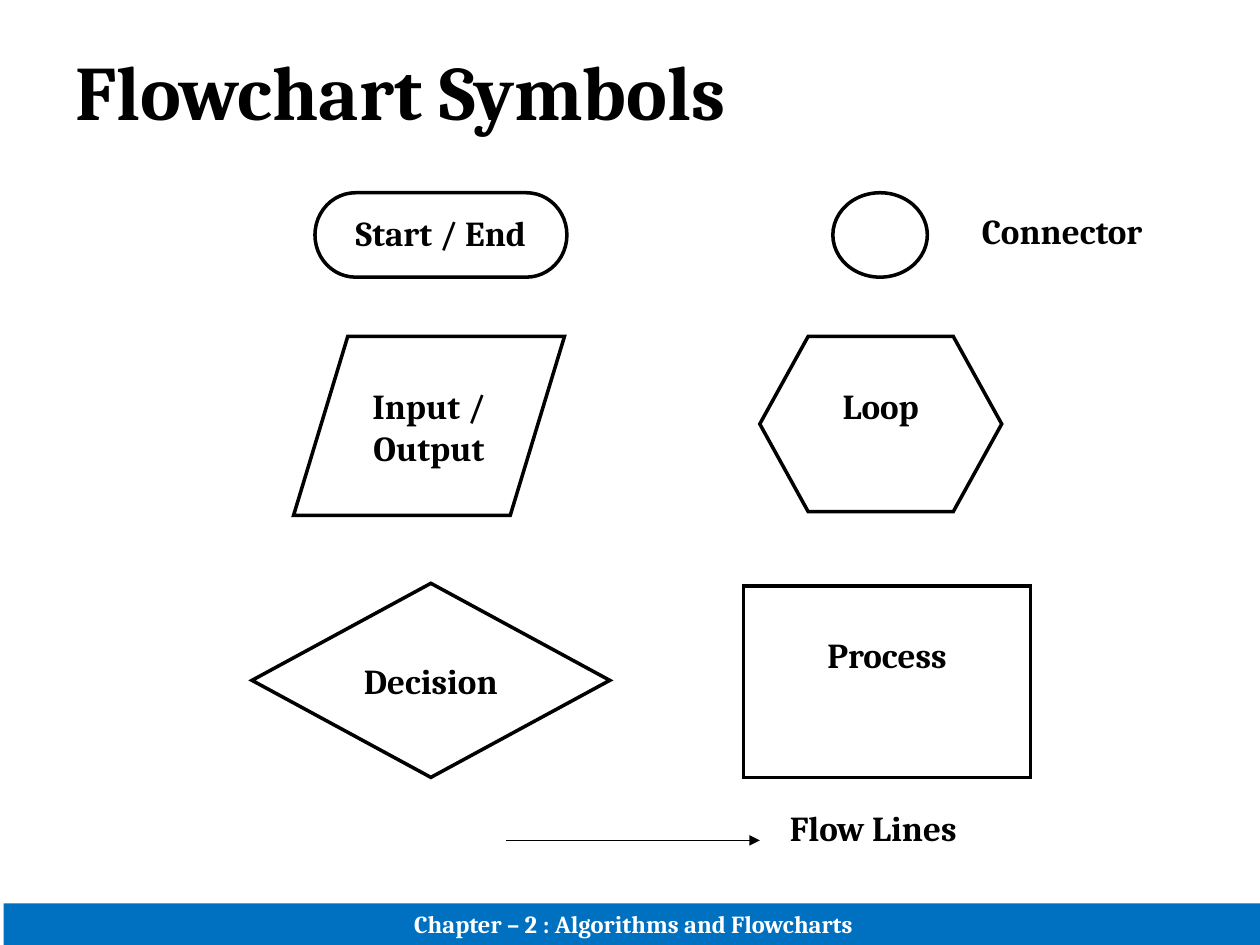
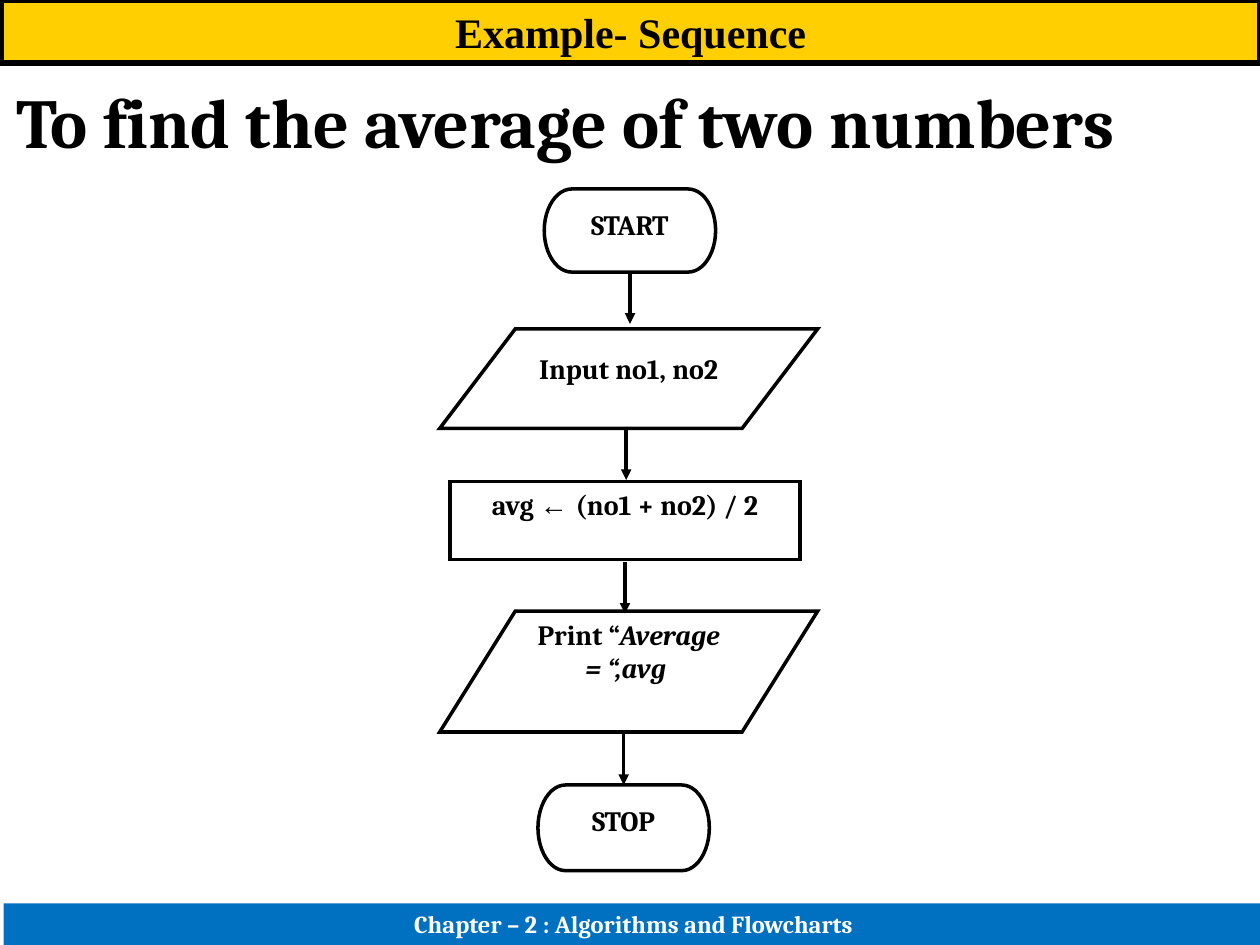
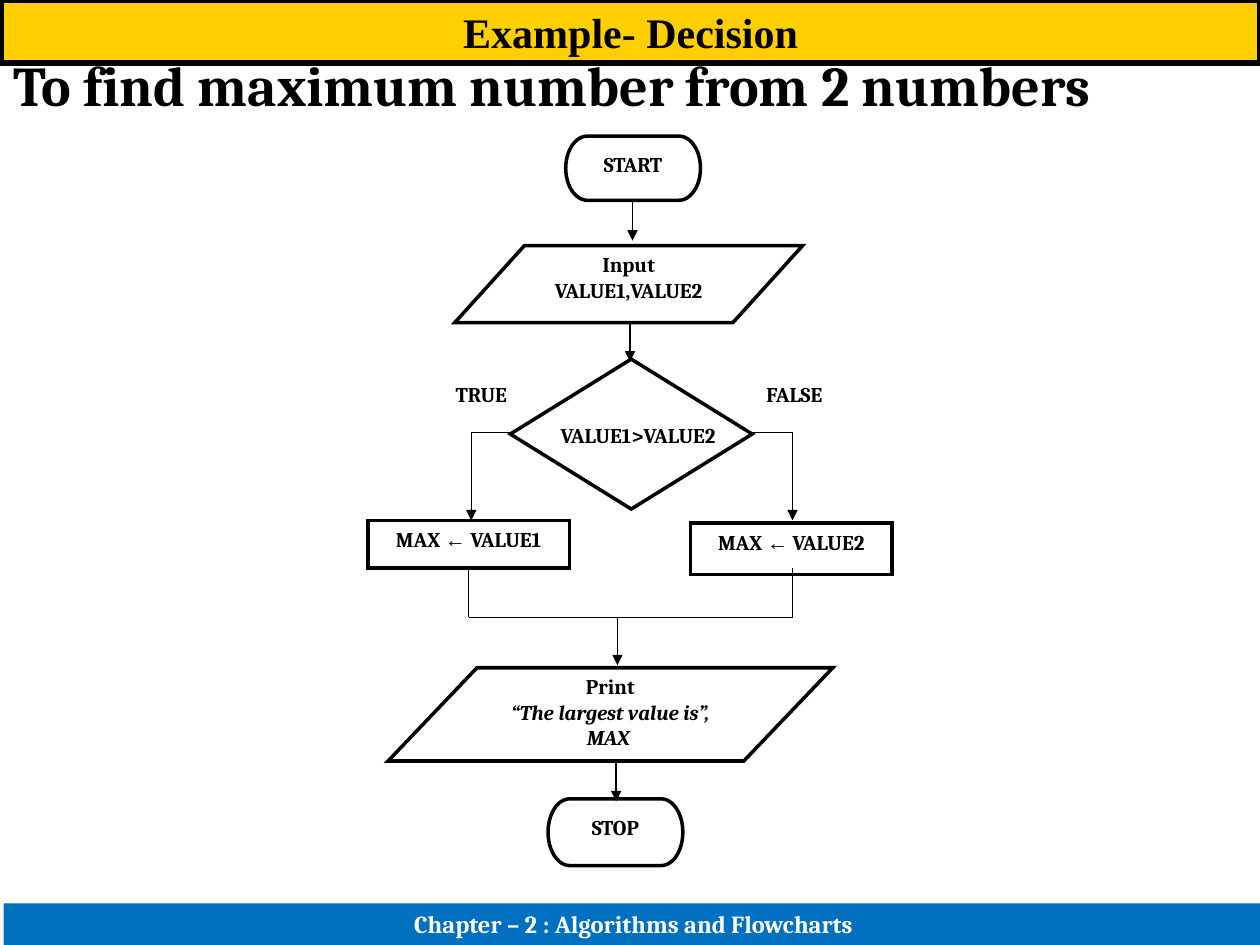
from lxml import etree
from pptx import Presentation
from pptx import util as u
from pptx.dml.color import RGBColor
from pptx.enum import shapes, text
from pptx.oxml import ns

# Theme: colours, fonts, type sizes, line widths
THEME = dict(
    ink="000000", paper="FFFFFF", foot="0070C0", band="FFCF01",
    face="Cambria", head="Times New Roman", sign="Arial",
    foot_size=14, band_size=24, thin=0.75, bold=2, frame=3,
)

# The slide is a grid of 100 columns by 75 rows
deck = Presentation()
deck.slide_width, deck.slide_height = u.Inches(10), u.Inches(7.5)
CELL = deck.slide_width / 100

KIND = shapes.MSO_SHAPE
OVAL, DATA = KIND.FLOWCHART_TERMINATOR, KIND.FLOWCHART_DATA
STEP, TEST = KIND.FLOWCHART_PROCESS, KIND.FLOWCHART_DECISION
LOOP, DOT = KIND.FLOWCHART_PREPARATION, KIND.FLOWCHART_CONNECTOR
MID, LEFT = text.PP_ALIGN.CENTER, text.PP_ALIGN.LEFT
TOP, BASE = text.MSO_ANCHOR.TOP, text.MSO_ANCHOR.BOTTOM


def box(page, kind, area, paras, size, align=MID, fill="paper", ink="ink", edge="bold",
        face="face", anchor=TOP, wrap=True, pad=0.5, lead=None):
    """Add a shape, or a text box if kind is None; paras holds strings or lists of (text, format)."""
    spot = [round(n * CELL) for n in area]
    if kind is None:
        part = page.shapes.add_textbox(*spot)
    else:
        part = page.shapes.add_shape(kind, *spot)
        part.shadow.inherit = False
        part.fill.solid()
        part.fill.fore_color.rgb = RGBColor.from_string(THEME[fill])
        if edge:
            part.line.color.rgb = RGBColor.from_string(THEME["ink"])
            part.line.width = u.Pt(THEME[edge])
            etree.SubElement(part.line._get_or_add_ln(), ns.qn("a:miter"), lim="800000")
        else:
            part.line.fill.background()
    frame = part.text_frame
    look = dict(word_wrap=wrap, vertical_anchor=anchor, margin_top=round(pad * CELL))
    for key, val in look.items():
        setattr(frame, key, val)
    for i, runs in enumerate(paras):
        para = frame.add_paragraph() if i else frame.paragraphs[0]
        para.alignment, para.line_spacing = align, lead
        for words, more in [(runs, {})] if isinstance(runs, str) else runs:
            run = para.add_run()
            run.text = words
            form = dict(name=THEME[face], size=u.Pt(size), bold=True) | more
            for key, val in form.items():
                setattr(run.font, key, val)
            run.font.color.rgb = RGBColor.from_string(THEME[ink])


def link(page, ends, width, arrow=True):
    """Add a straight flow line through two grid points."""
    line = page.shapes.add_connector(
        shapes.MSO_CONNECTOR.STRAIGHT, *[round(n * CELL) for n in ends])
    line.line.color.rgb = RGBColor.from_string(THEME["ink"])
    line.line.width = u.Pt(THEME[width])
    if arrow:
        etree.SubElement(line.line._get_or_add_ln(), ns.qn("a:tailEnd"), type="triangle")
    etree.SubElement(line._element.spPr, ns.qn("a:effectLst"))


SLANT = dict(italic=True)
SIGN = dict(name=THEME["sign"])
LIGHT = SIGN | dict(bold=False)

# Symbols: one of each kind, with its name
signs = dict(
    title="Flowchart Symbols", spot=(5, 3, 90, 12.5), head=44, band=None, size=20,
    parts=[
        (OVAL, (25, 15.3, 20, 6.7), ["Start / End"], {}),
        (DATA, (23.3, 26.7, 21.5, 14.2), ["Input / Output"], dict(pad=3.8)),
        (TEST, (20, 46.3, 28.4, 15.4), ["Decision"], dict(lead=1.5)),
        (DOT, (66.1, 15.3, 7.5, 6.7), [], {}),
        (LOOP, (60.3, 26.7, 19.2, 13.9), ["Loop"], dict(pad=3.8)),
        (STEP, (59, 46.5, 22.8, 15.2), ["Process"], dict(pad=3.8)),
        (None, (76.9, 16.1, 14.8, 4.4), ["Connector"], dict(wrap=False)),
        (None, (61.7, 63.5, 15.3, 4.4), ["Flow Lines"], dict(wrap=False, align=LEFT)),
    ],
    width="thin", arrows=[(40.2, 66.7, 60.3, 66.7)], lines=[],
)

# Sequence: one column of steps, with arrows of equal length
mean = dict(
    title="To find the average of two numbers", spot=(0.3, 5.7, 99.7, 12.5), head=40,
    band="Example- Sequence", size=16,
    parts=[
        (OVAL, (43.2, 15, 13.6, 6.6), ["START"], {}),
        (DATA, (34.9, 26.1, 30, 7.9), ["Input no1, no2"], dict(lead=1.5)),
        (STEP, (35.7, 38.2, 27.8, 6.2),
         [[("avg ", {}), ("← ", LIGHT), ("(no1 + no2) / 2", {})]], {}),
        (DATA, (34.9, 48.5, 30, 9.6), [[("Print “", {}), ("Average = “,avg ", SLANT)]], {}),
        (OVAL, (42.7, 62.3, 13.6, 6.8), ["STOP"], {}),
    ],
    width="bold", lines=[],
    arrows=[(x, y, x, y + 4.1) for x, y in [(50, 21.6), (49.7, 34), (49.6, 44.6), (49.5, 58.2)]],
)

# Decision: two branches that join again
most = dict(
    title="To find maximum number from 2 numbers", spot=(0.1, 3.5, 99.9, 12.5), head=32,
    band="Example- Decision", size=12,
    parts=[
        (OVAL, (44.9, 10.8, 10.7, 5.1), ["START"], {}),
        (DATA, (36.1, 19.5, 27.6, 6.1), ["Input", "VALUE1,VALUE2"], {}),
        (TEST, (40.5, 28.5, 19.2, 11.9), [], {}),
        (None, (40.5, 31, 20.3, 6.4), ["VALUE1>VALUE2"], dict(pad=2.5)),
        (None, (35, 29.8, 6.4, 3.8), ["TRUE"], {}),
        (None, (58.3, 29.8, 9.5, 3.8), ["FALSE"], {}),
        (STEP, (29.2, 41.3, 16, 3.8), [[("MAX ", {}), ("←", SIGN), (" VALUE1", {})]], {}),
        (STEP, (54.8, 41.5, 16, 4.1), [[("MAX ", {}), ("←", SIGN), (" VALUE2", {})]], {}),
        (DATA, (30.8, 53, 35.3, 7.4), ["Print", [("“The largest value is”, MAX ", SLANT)]], {}),
        (OVAL, (43.5, 63.4, 10.7, 5.3), ["STOP"], {}),
    ],
    width="thin",
    arrows=[(x, y, x, end) for x, y, end in [
        (50.2, 16, 19.1), (50, 25.5, 28.7), (37.4, 34.3, 41.3),
        (62.9, 34.3, 41.3), (49, 49, 52.8), (48.9, 60.4, 63.6)]],
    lines=[(37.4, 34.3, 40.6, 34.3), (59.6, 34.3, 62.9, 34.3), (37.2, 45.1, 37.2, 49),
           (37.2, 49, 62.9, 49), (62.9, 49, 62.9, 45.1)],
)

for plan in (signs, mean, most):
    page = deck.slides.add_slide(deck.slide_layouts[6])
    # Title and footer
    box(page, None, plan["spot"], [plan["title"]], plan["head"], align=LEFT)
    box(page, KIND.RECTANGLE, (0.3, 71.7, 100, 3.3), ["Chapter – 2 : Algorithms and Flowcharts"],
        THEME["foot_size"], fill="foot", ink="paper", edge=None, anchor=BASE)
    # Flowchart
    for kind, area, paras, more in plan["parts"]:
        box(page, kind, area, paras, plan["size"], **more)
    for ends in plan["arrows"]:
        link(page, ends, plan["width"])
    for ends in plan["lines"]:
        link(page, ends, plan["width"], arrow=False)
    # Top band
    if plan["band"]:
        box(page, KIND.RECTANGLE, (0.1, 0, 99.9, 5), [plan["band"]], THEME["band_size"],
            fill="band", edge="frame", face="head")

deck.save("out.pptx")
